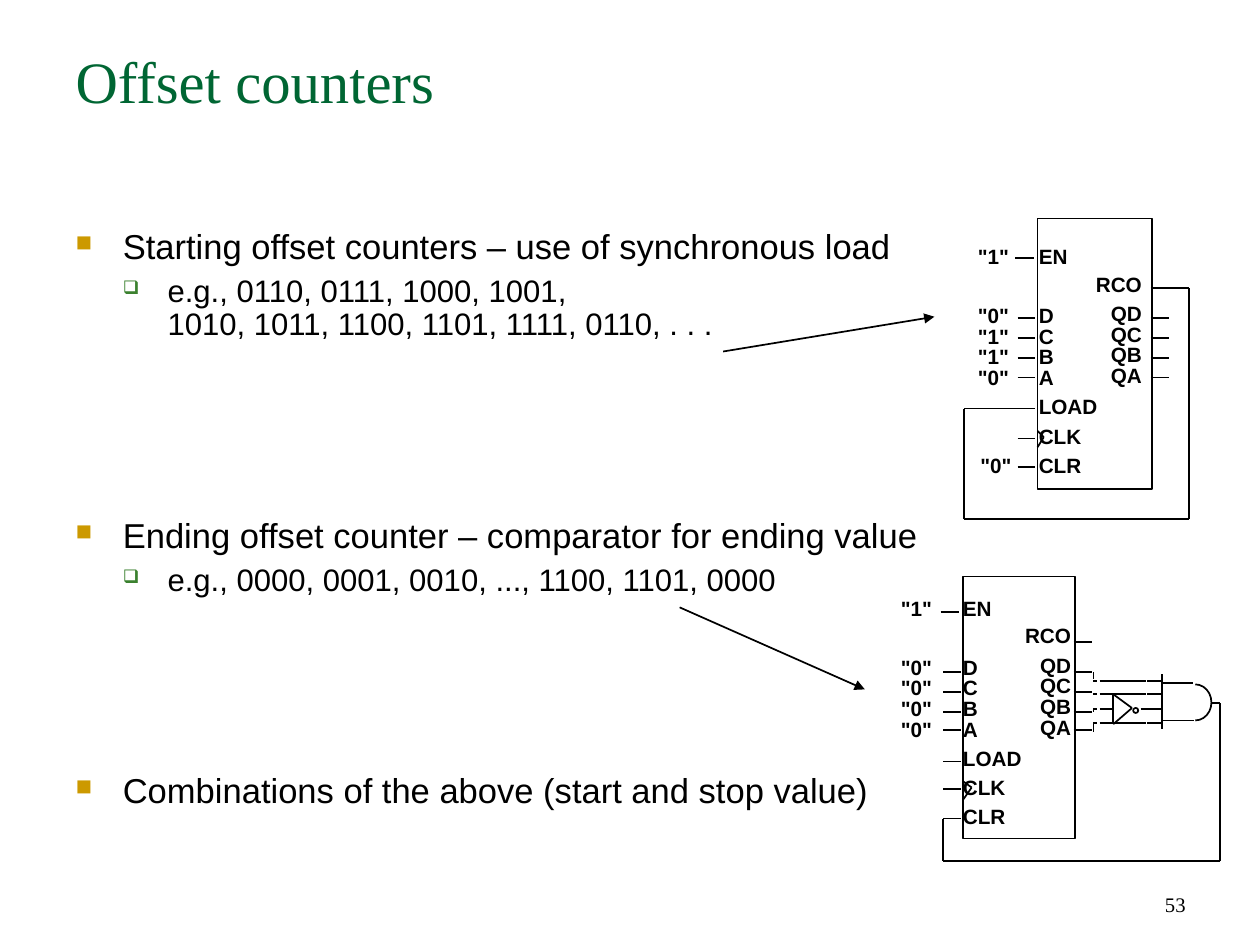
from dataclasses import dataclass

from lxml.etree import SubElement
from pptx import Presentation
from pptx.dml.color import RGBColor
from pptx.enum.shapes import MSO_CONNECTOR as Link, MSO_SHAPE as Kind
from pptx.enum.text import MSO_ANCHOR as Anchor, PP_ALIGN as Align
from pptx.oxml.ns import qn
from pptx.shapes.shapetree import SlideShapes as Shapes
from pptx.util import Inches, Pt

BLACK = RGBColor(0x00, 0x00, 0x00)
GREEN = RGBColor(0x00, 0x66, 0x33)
GOLD = RGBColor(0xCC, 0x99, 0x00)
LEAF = RGBColor(0x3B, 0x81, 0x2F)
SANS, SERIF = "Arial", "Times New Roman"
Point = tuple[float, float]
Box = tuple[float, float, float, float]


@dataclass
class Para:
    text: str
    size: float = 12
    font: str = SANS
    color: RGBColor = BLACK
    bold: bool = False
    align: Align = Align.LEFT
    space: float | Pt = 1.0
    before: float = 0
    after: float = 0


@dataclass
class Bullet:
    mark: str
    color: RGBColor
    scale: int
    left: float
    hang: float


@dataclass
class Chip:
    frame: Box
    top: float
    name_x: float
    in_x: float
    out_x: float
    inputs: str
    left_pins: list[float]
    right_pins: list[float]
    notch: list[Point]


MAIN = Bullet("■", GOLD, 65, 0.38, 0.38)
SUB = Bullet("❑", LEAF, 60, 0.74, 0.36)

BODY = [
    (MAIN, Para("Starting offset counters – use of synchronous load", 20, space=0.9)),
    (SUB, Para("e.g., 0110, 0111, 1000, 1001,\n1010, 1011, 1100, 1101, 1111, 0110, . . .",
               18, space=0.9, before=5)),
    (MAIN, Para("Ending offset counter – comparator for ending value", 20, space=0.9, before=102)),
    (SUB, Para("e.g., 0000, 0001, 0010, ..., 1100, 1101, 0000", 18, space=0.9, before=5)),
    (MAIN, Para("Combinations of the above (start and stop value)", 20, space=0.9, before=102)),
]

CHIPS = [
    Chip((8.35, 1.76, 0.92, 2.18), 1.97, 8.34, 7.85, 9.21, '"0"\n"1"\n"1"\n"0"',
         [2.56, 2.72, 2.88, 3.04, 3.29, 3.53, 3.76], [2.32, 2.56, 2.72, 2.88, 3.04],
         [(8.35, 3.47), (8.4, 3.52), (8.35, 3.6)]),
    Chip((7.75, 4.64, 0.9, 2.11), 4.8, 7.73, 7.23, 8.64, '"0"\n"0"\n"0"\n"0"',
         [5.41, 5.57, 5.73, 5.88, 6.13, 6.35, 6.59], [5.17, 5.41, 5.57, 5.73, 5.88],
         [(7.75, 6.29), (7.82, 6.34), (7.75, 6.44)]),
]

LOOPS = [
    [(9.41, 2.32), (9.57, 2.32), (9.57, 4.18), (7.76, 4.18), (7.76, 3.29), (8.25, 3.29)],
    [(9.75, 5.66), (9.82, 5.66), (9.82, 6.93), (7.59, 6.93), (7.59, 6.59)],
]
TAPS = [(5.41, 5.47), (5.73, 5.7), (5.89, 5.82)]
ROWS = [5.48, 5.59, 5.71, 5.82]
GATE = [(9.6, 5.5), (9.35, 5.5), (9.35, 5.8), (9.61, 5.8)]
BUFFER = [(8.96, 5.59), (9.11, 5.7), (8.96, 5.83), (8.96, 5.59)]
ARROWS = [((5.82, 2.83), (7.52, 2.55)), ((5.47, 4.89), (6.96, 5.55))]


def draw_line(shapes: Shapes, start: Point, end: Point, arrow: bool = False) -> None:
    line = shapes.add_connector(Link.STRAIGHT, *map(Inches, start + end))
    line.line.color.rgb = BLACK
    line.line.width = Pt(1)
    if arrow:
        SubElement(line.line._get_or_add_ln(), qn("a:tailEnd"), type="triangle")
    SubElement(line._element.spPr, qn("a:effectLst"))


def draw_path(shapes: Shapes, points: list[Point]) -> None:
    for start, end in zip(points, points[1:]):
        draw_line(shapes, start, end)


def draw_shape(shapes: Shapes, kind: Kind, box: Box):
    shape = shapes.add_shape(kind, *map(Inches, box))
    shape.shadow.inherit = False
    shape.fill.background()
    shape.line.color.rgb = BLACK
    shape.line.width = Pt(1)
    return shape


def add_mark(para, mark: Bullet) -> None:
    props = para._p.get_or_add_pPr()
    props.set("marL", str(Inches(mark.left)))
    props.set("indent", str(-Inches(mark.hang)))
    tint = SubElement(props, qn("a:buClr"))
    SubElement(tint, qn("a:srgbClr"), val=str(mark.color))
    SubElement(props, qn("a:buSzPct"), val=str(mark.scale * 1000))
    SubElement(props, qn("a:buChar"), char=mark.mark)


def draw_text(shapes: Shapes, box: Box, items: list[tuple[Bullet | None, Para]],
              inset: Point = (0.1, 0.05), anchor: Anchor = Anchor.TOP) -> None:
    frame = shapes.add_textbox(*map(Inches, box)).text_frame
    frame.word_wrap = True
    frame.vertical_anchor = anchor
    frame.margin_left = frame.margin_right = Inches(inset[0])
    frame.margin_top = frame.margin_bottom = Inches(inset[1])
    for index, (mark, item) in enumerate(items):
        para = frame.add_paragraph() if index else frame.paragraphs[0]
        if mark:
            add_mark(para, mark)
        para.alignment = item.align
        para.line_spacing = item.space
        para.space_before = Pt(item.before)
        para.space_after = Pt(item.after)
        for row, text in enumerate(item.text.split("\n")):
            if row:
                para.add_line_break()
            run = para.add_run()
            run.text = text
            run.font.name = item.font
            run.font.size = Pt(item.size)
            run.font.bold = item.bold
            run.font.color.rgb = item.color


def draw_names(shapes: Shapes, box: Box, names: list[str], gap: float = 5,
               align: Align = Align.LEFT) -> None:
    items = [(None, Para(name, bold=True, align=align, space=Pt(12), after=5 if i else gap))
             for i, name in enumerate(names)]
    draw_text(shapes, box, items, (0.02, 0.03))


def draw_chip(shapes: Shapes, chip: Chip) -> None:
    left, _, width, _ = chip.frame
    right = left + width
    draw_shape(shapes, Kind.RECTANGLE, chip.frame)
    draw_path(shapes, chip.notch)
    enable = chip.left_pins[0] - 0.48
    draw_line(shapes, (left - 0.18, enable), (left - 0.03, enable))
    for y in chip.left_pins:
        draw_line(shapes, (left - 0.16, y), (left - 0.02, y))
    for y in chip.right_pins:
        draw_line(shapes, (right - 0.01, y), (right + 0.14, y))
    draw_names(shapes, (chip.name_x, chip.top, 1.1, 2.06),
               ["EN", "D\nC\nB\nA", "LOAD", "CLK", "CLR"], 22)
    draw_names(shapes, (chip.out_x - 1.1, chip.top + 0.22, 1.1, 1.11),
               ["RCO", "QD\nQC\nQB\nQA"], align=Align.RIGHT)
    draw_names(shapes, (chip.in_x, chip.top, 0.5, 1.58), ['"1"', chip.inputs], 22)


def draw_gate(shapes: Shapes) -> None:
    for start, end in TAPS:
        draw_line(shapes, (8.8, start), (8.8, end))
    for y in ROWS:
        spans = [(8.8, 8.83), (8.85, 9.22), (9.23, 9.35)]
        if y == 5.71:
            spans[1:] = [(8.85, 8.96), (9.18, 9.35)]
        for start, end in spans:
            draw_line(shapes, (start, y), (end, y))
    draw_path(shapes, BUFFER)
    draw_shape(shapes, Kind.OVAL, (9.12, 5.7, 0.04, 0.04))
    draw_path(shapes, GATE)
    draw_line(shapes, (9.35, 5.43), (9.35, 5.87))
    curve = draw_shape(shapes, Kind.ARC, (9.49, 5.51, 0.26, 0.29))
    curve.adjustments[1] = 54.0


def main() -> None:
    deck = Presentation()
    deck.slide_width, deck.slide_height = Inches(10.14), Inches(7.6)
    shapes = deck.slides.add_slide(deck.slide_layouts[6]).shapes
    draw_text(shapes, (0.51, 0.31, 9.12, 1.26),
              [(None, Para("Offset counters", 34, SERIF, GREEN))])
    draw_text(shapes, (0.51, 1.8, 9.12, 5.02), BODY)
    for chip in CHIPS:
        draw_chip(shapes, chip)
    for loop in LOOPS:
        draw_path(shapes, loop)
    draw_gate(shapes)
    draw_names(shapes, (7.87, 3.65, 0.62, 0.4), ['"0"'])
    for start, end in ARROWS:
        draw_line(shapes, start, end, arrow=True)
    draw_text(shapes, (7.27, 6.92, 2.37, 0.51),
              [(None, Para("53", font=SERIF, align=Align.RIGHT))], anchor=Anchor.BOTTOM)
    deck.save("out.pptx")


if __name__ == "__main__":
    main()
